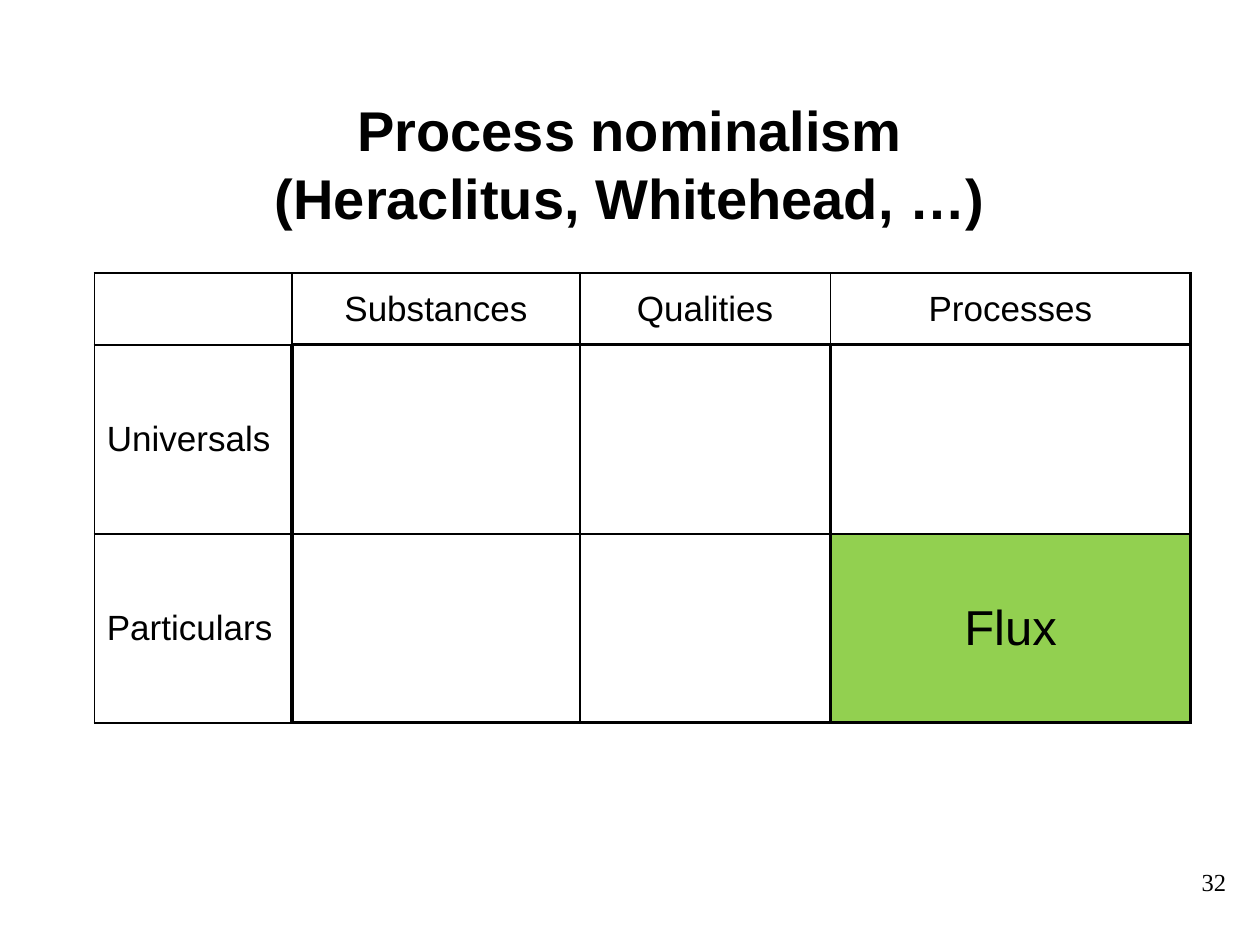
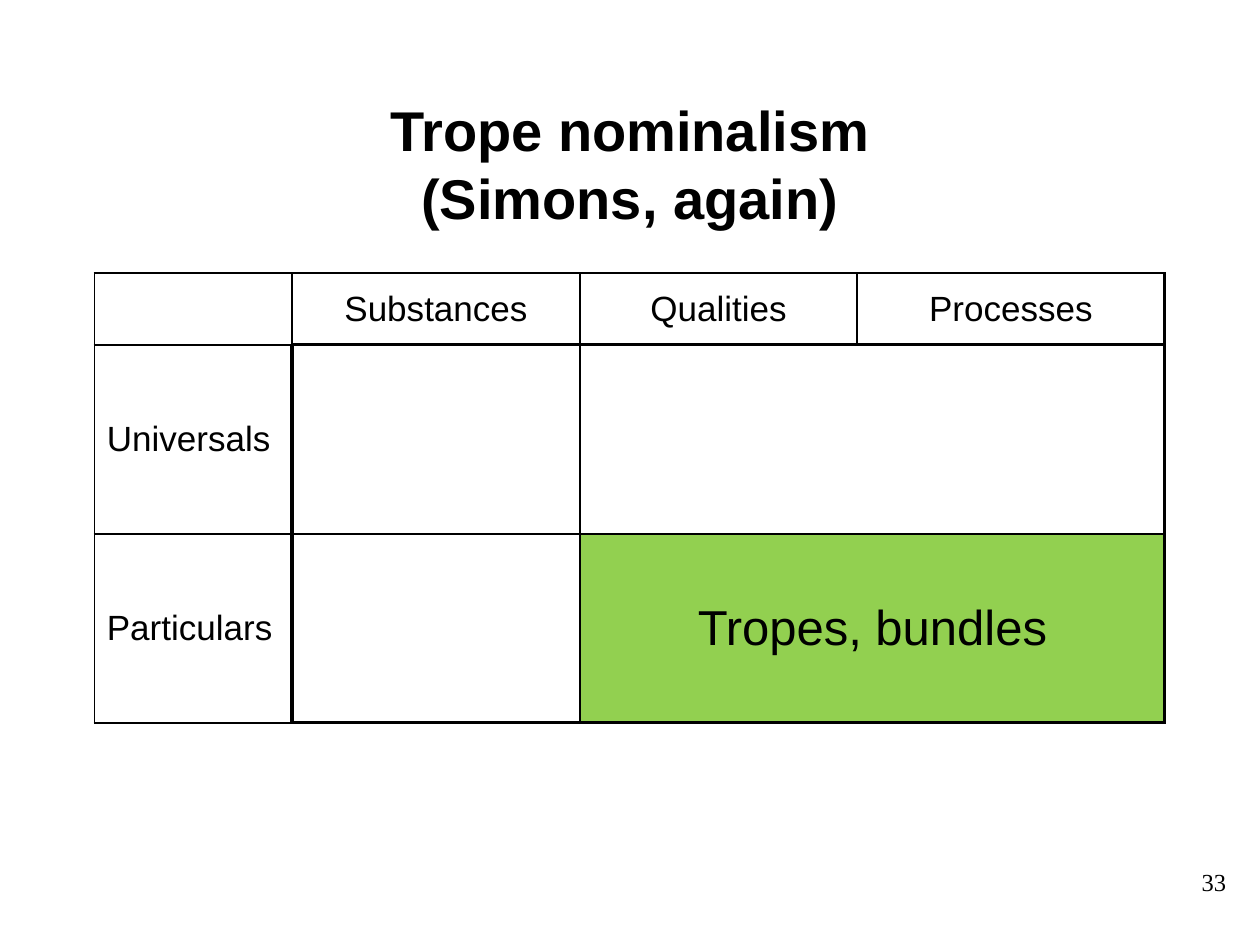
"""Build two slides that place forms of nominalism in a grid of ontological categories."""
from lxml.etree import SubElement
from pptx import Presentation
from pptx.dml.color import RGBColor
from pptx.enum.text import MSO_ANCHOR, PP_ALIGN
from pptx.oxml.ns import qn
from pptx.util import Cm, Pt

COLUMN_HEADS = ["", "Substances", "Qualities", "Processes"]
ROW_HEADS = ["", "Universals", "Particulars"]
SLIDES = [
    {
        "title": ["Process nominalism", "(Heraclitus, Whitehead, …)"],
        "number": 32,
        "columns": [3.99, 5.8, 5.05, 7.26],
        "answer": "Flux",
        "answer_column": 3,
        "divider": 2.25,
    },
    {
        "title": ["Trope nominalism", "(Simons, again)"],
        "number": 33,
        "columns": [3.99, 5.8, 5.59, 6.2],
        "answer": "Tropes, bundles",
        "answer_column": 2,
        "divider": 0,
    },
]

BLACK, GREEN = "000000", "92D050"
THIN, THICK = 1, 2.25
ROW_HEIGHTS = [1.45, 3.81, 3.81]
LAST_ROW, LAST_COLUMN = len(ROW_HEADS) - 1, len(COLUMN_HEADS) - 1
TITLE_BOX = (1.9, 1.7, 21.6, 3.18)
NUMBER_BOX = (19.69, 17.35, 5.28, 1.27)
TABLE_LEFT, TABLE_TOP = 1.9, 5.5


def color(value):
    return RGBColor.from_string(value)


def style_text(text_frame, size, alignment, name="Arial", bold=False):
    for paragraph in text_frame.paragraphs:
        paragraph.alignment = alignment
        for run in paragraph.runs:
            run.font.name, run.font.size, run.font.bold = name, Pt(size), bold
            run.font.color.rgb = color(BLACK)


def add_title(slide, lines):
    title = slide.shapes.title
    title.left, title.top, title.width, title.height = map(Cm, TITLE_BOX)
    title.text_frame.text = "\v".join(lines)
    title.text_frame.vertical_anchor = MSO_ANCHOR.MIDDLE
    style_text(title.text_frame, 32, PP_ALIGN.CENTER, bold=True)


def add_number(slide, number):
    text_frame = slide.shapes.add_textbox(*map(Cm, NUMBER_BOX)).text_frame
    text_frame.word_wrap = True
    text_frame.text = str(number)
    style_text(text_frame, 14, PP_ALIGN.RIGHT, name="Times New Roman")


def vertical_width(row, edge, divider):
    if edge == LAST_COLUMN + 1:
        return THICK
    if row == 0 or edge == 0:
        return THIN
    return {1: THICK, LAST_COLUMN: divider}.get(edge, THIN)


def horizontal_width(edge, column):
    return THICK if column > 0 and edge in (1, LAST_ROW + 1) else THIN


def set_borders(cell, widths):
    properties = cell._tc.get_or_add_tcPr()
    for side, width in widths.items():
        line = SubElement(properties, qn(f"a:ln{side}"), w=str(Pt(width)))
        if width:
            fill = SubElement(line, qn("a:solidFill"))
            SubElement(fill, qn("a:srgbClr"), val=BLACK)
        else:
            SubElement(line, qn("a:noFill"))


def cell_text(row, column, content):
    if row == 0:
        return COLUMN_HEADS[column]
    if column == 0:
        return ROW_HEADS[row]
    is_answer = (row, column) == (LAST_ROW, content["answer_column"])
    return content["answer"] if is_answer else ""


def add_grid(slide, content):
    columns, divider = content["columns"], content["divider"]
    table = slide.shapes.add_table(
        len(ROW_HEADS), len(columns), Cm(TABLE_LEFT), Cm(TABLE_TOP),
        Cm(sum(columns)), Cm(sum(ROW_HEIGHTS))).table
    table.first_row = table.horz_banding = False
    for column, width in zip(table.columns, columns):
        column.width = Cm(width)
    for row, height in zip(table.rows, ROW_HEIGHTS):
        row.height = Cm(height)

    answer_cell = table.cell(LAST_ROW, content["answer_column"])
    if content["answer_column"] < LAST_COLUMN:
        answer_cell.merge(table.cell(LAST_ROW, LAST_COLUMN))

    for row in range(len(ROW_HEADS)):
        for column in range(len(columns)):
            cell = table.cell(row, column)
            is_answer = row == LAST_ROW and column >= content["answer_column"]
            right_edge = LAST_COLUMN + 1 if cell.is_merge_origin else column + 1
            set_borders(cell, {
                "L": vertical_width(row, column, divider),
                "R": vertical_width(row, right_edge, divider),
                "T": horizontal_width(row, column),
                "B": horizontal_width(row + 1, column),
            })
            if is_answer:
                cell.fill.solid()
                cell.fill.fore_color.rgb = color(GREEN)
            else:
                cell.fill.background()
            cell.vertical_anchor = MSO_ANCHOR.MIDDLE
            cell.text_frame.text = cell_text(row, column, content)
            style_text(cell.text_frame, 28 if is_answer else 20,
                       PP_ALIGN.CENTER if column else PP_ALIGN.LEFT)


def main():
    presentation = Presentation()
    presentation.slide_width, presentation.slide_height = Cm(25.4), Cm(19.05)
    for content in SLIDES:
        slide = presentation.slides.add_slide(presentation.slide_layouts[5])
        add_number(slide, content["number"])
        add_title(slide, content["title"])
        add_grid(slide, content)
    presentation.save("out.pptx")


if __name__ == "__main__":
    main()
